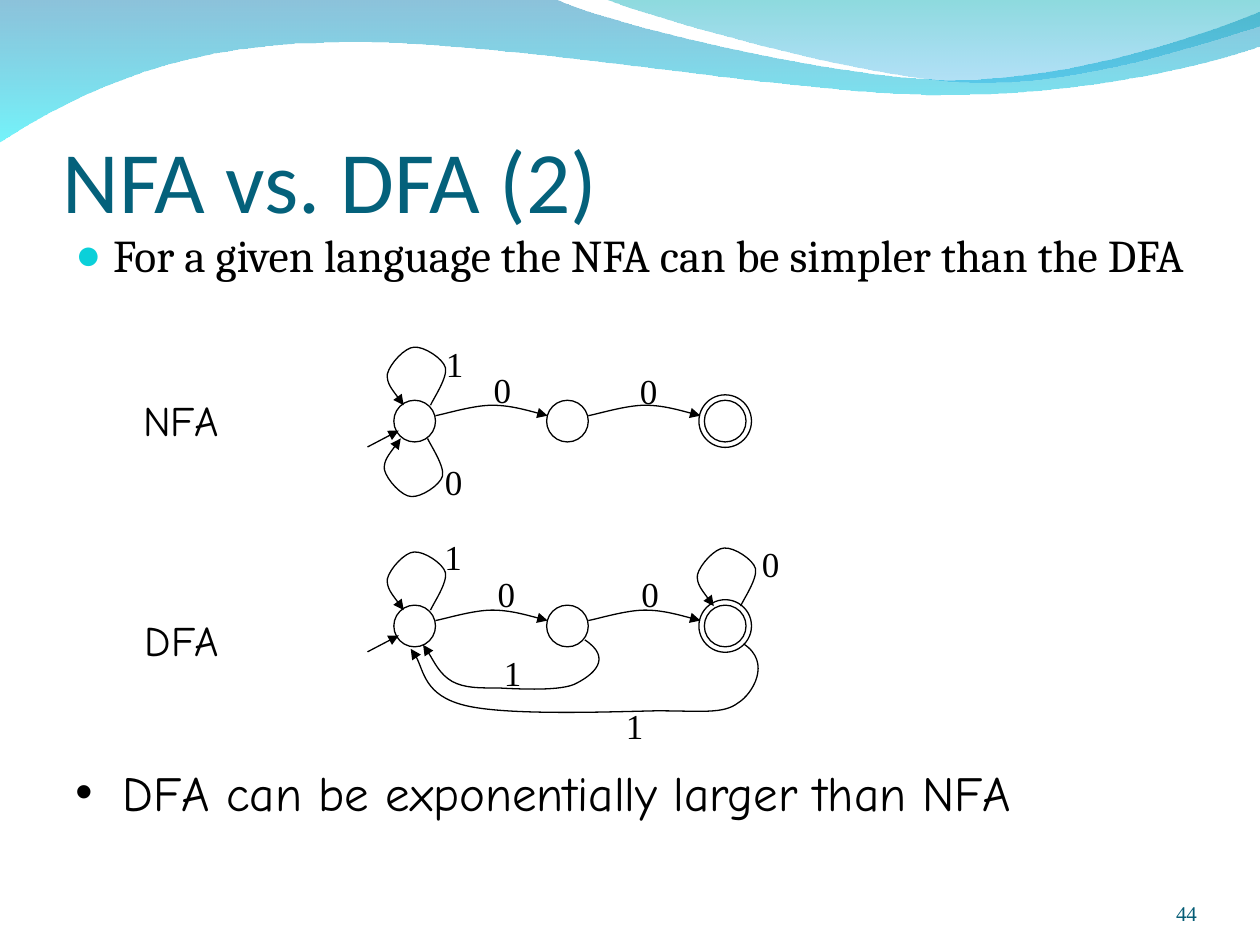
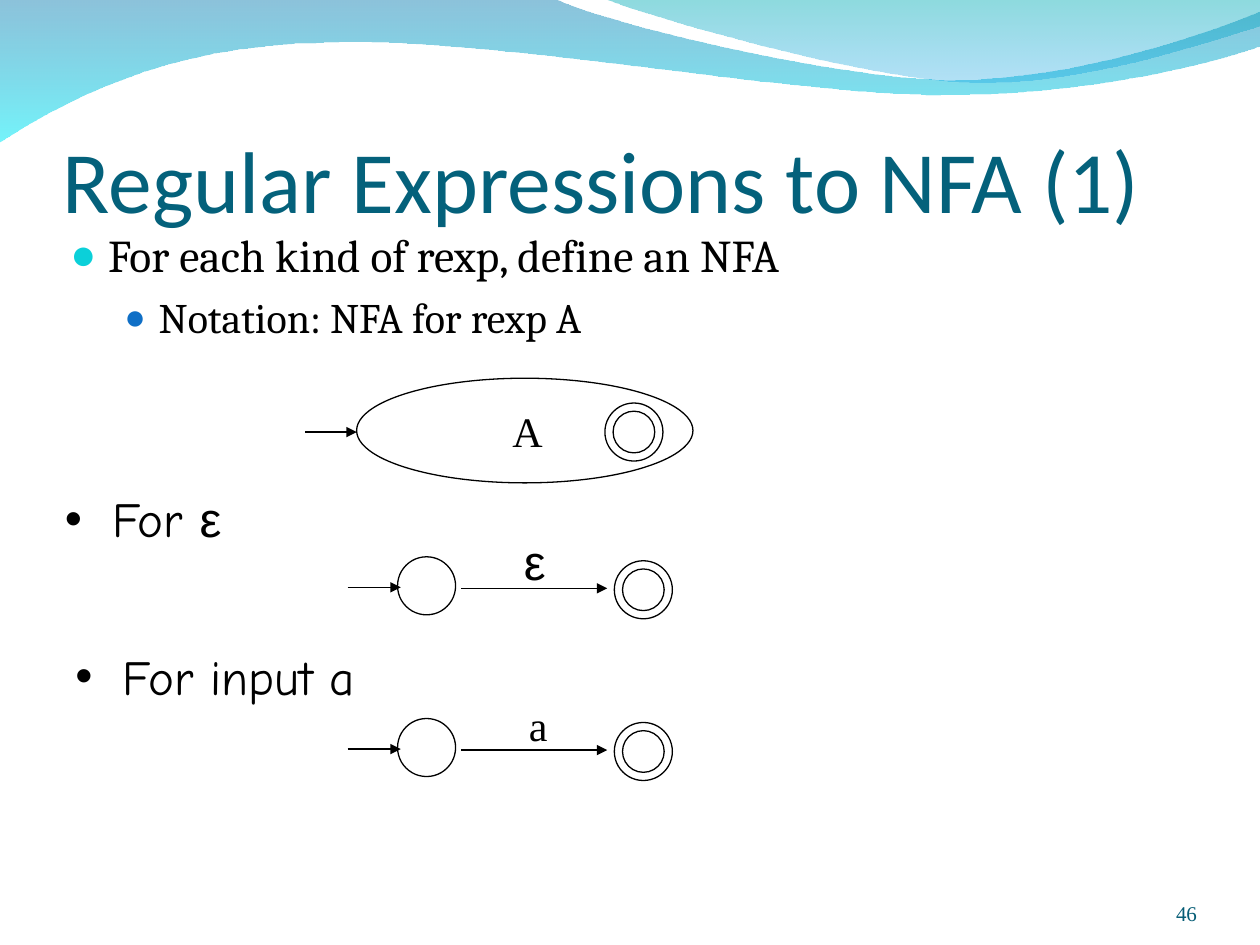
from typing import NamedTuple

from lxml import etree
from pptx import Presentation
from pptx.dml.color import RGBColor
from pptx.enum.shapes import MSO_CONNECTOR, MSO_SHAPE
from pptx.enum.text import MSO_ANCHOR, MSO_AUTO_SIZE, PP_ALIGN
from pptx.oxml.ns import qn
from pptx.util import Cm, Pt

BLACK = RGBColor(0x00, 0x00, 0x00)
TITLE_BLUE = RGBColor(0x04, 0x61, 0x7B)
NUMBER_BLUE = RGBColor(0x04, 0x5C, 0x75)
BULLET_CYAN = RGBColor(0x0B, 0xD0, 0xD9)
BULLET_BLUE = RGBColor(0x0F, 0x6F, 0xC6)
WAVE_BLUE = RGBColor(0x00, 0x79, 0xAF)
WAVE_CYAN = RGBColor(0x00, 0xEB, 0xF8)
WAVE_TEAL = RGBColor(0x00, 0xAD, 0xB6)
WAVE_SKY = RGBColor(0x00, 0x9B, 0xE5)

ELLIPSE = MSO_SHAPE.OVAL
STRAIGHT = MSO_CONNECTOR.STRAIGHT
TOP, BOTTOM = MSO_ANCHOR.TOP, MSO_ANCHOR.BOTTOM
LEFT, RIGHT = PP_ALIGN.LEFT, PP_ALIGN.RIGHT
GROW = MSO_AUTO_SIZE.SHAPE_TO_FIT_TEXT

TITLE_FONT = "Calibri"
BODY_FONT = "Cambria"
NOTE_FONT = "Comic Neue"
LABEL_FONT = "Times New Roman"
GREEK_FONT = "Arial"
BULLET_FONT = "Arial"

STATE_SIZE = 0.84


class BulletStyle(NamedTuple):
    symbol: str
    color: RGBColor
    percent: int
    indent: float
    hanging: float
    font: str
    size: int
    space_before: float


TOPIC = BulletStyle("●", BULLET_CYAN, 95, 0.76, 0.76, BODY_FONT, 26, 6.5)
SUBTOPIC = BulletStyle("●", BULLET_BLUE, 85, 1.78, 0.69, BODY_FONT, 24, 6)
NOTE = BulletStyle("•", BLACK, 100, 0.96, 0.96, NOTE_FONT, 28, 7)

# Outlines start with one point; then one point is a line, three are a Bézier curve.
BACK_WAVE = [
    [(0, -0.03)],
    [(11.18, -0.03)],
    [(12.09, 0.43), (16.87, 1.6), (19.25, 1.6)],
    [(21.67, 1.6), (24.33, 0.66), (25.4, 0.23)],
    [(25.43, 0.91)],
    [(24.97, 1.12), (22.1, 1.93), (18.95, 1.91)],
    [(15.8, 1.91), (9.7, 0.71), (6.53, 0.86)],
    [(3.28, 0.89), (1.17, 2.11), (-0.03, 2.87)],
]
FRONT_WAVE = [
    [(12.17, -0.03)],
    [(12.93, 0.28), (17.32, 1.57), (19.53, 1.65)],
    [(21.74, 1.75), (24.41, 0.81), (25.4, 0.53)],
    [(25.4, 0)],
]
# Relative to the centre of the state where the transition starts.
LOOP = [
    [(0.32, -0.32)],
    [(0.37, -0.44), (0.67, -0.88), (0.62, -1.08)],
    [(0.57, -1.26), (0.19, -1.51), (-0.01, -1.49)],
    [(-0.19, -1.49), (-0.5, -1.16), (-0.55, -0.95)],
    [(-0.57, -0.77), (-0.39, -0.55), (-0.22, -0.32)],
]
FORWARD_ARC = [
    [(0.42, -0.11)],
    [(0.6, -0.14), (1.18, -0.32), (1.56, -0.32)],
    [(1.92, -0.32), (2.45, -0.17), (2.68, -0.11)],
]
RETURN_FROM_MIDDLE = [
    [(11.79, 12.9)],
    [(12.37, 13.28), (11.94, 13.61), (11.63, 13.77)],
    [(11.35, 13.94), (10.46, 13.89), (10.06, 13.87)],
    [(9.63, 13.87), (9.37, 13.87), (9.12, 13.74)],
    [(8.86, 13.59), (8.66, 13.16), (8.53, 13.0)],
]
RETURN_FROM_FINAL = [
    [(14.99, 12.98)],
    [(15.57, 13.36), (15.16, 14.0), (14.88, 14.17)],
    [(14.58, 14.4), (14.15, 14.33), (13.23, 14.33)],
    [(12.29, 14.35), (10.21, 14.43), (9.37, 14.22)],
    [(8.56, 14.02), (8.51, 13.31), (8.28, 13.08)],
]


def moved(segments, x, y, flip=1):
    """Shift a relative outline to (x, y); flip=-1 turns it upside down."""
    return [[(x + dx, y + flip * dy) for dx, dy in segment] for segment in segments]


class Deck:
    """Holds the presentation, its style and the slide being drawn."""

    def __init__(self):
        self.presentation = Presentation()
        self.presentation.slide_width = Cm(25.4)
        self.presentation.slide_height = Cm(19.05)
        self.slide = None

    def new_slide(self, title, number):
        self.slide = self.presentation.slides.add_slide(self.presentation.slide_layouts[6])
        self.wave(BACK_WAVE, ((WAVE_BLUE, 45), (WAVE_CYAN, 55)))
        self.wave(FRONT_WAVE, ((WAVE_TEAL, 45), (WAVE_SKY, 30)))
        self.framed_text(number, (22.02, 17.65, 2.11, 1.02), LABEL_FONT, 12, NUMBER_BLUE, RIGHT)
        self.framed_text(title, (1.27, 1.47, 22.86, 3.18), TITLE_FONT, 50, TITLE_BLUE, LEFT)

    def outline(self, segments, close):
        """Build a freeform, then join each three-point segment into a curve."""
        (x, y), *others = [(Cm(x), Cm(y)) for segment in segments for x, y in segment]
        builder = self.slide.shapes.build_freeform(x, y)
        builder.add_line_segments(others, close=close)
        shape = builder.convert_to_shape()
        shape.shadow.inherit = False
        lines = iter(list(shape._element.iter(qn("a:lnTo"))))
        for segment in segments[1:]:
            first, *rest = [next(lines) for _ in segment]
            if rest:
                first.tag = qn("a:cubicBezTo")
            for line in rest:
                first.append(line[0])
                line.getparent().remove(line)
        return shape

    def wave(self, segments, stops):
        """Draw a band whose stops are (colour, opacity percent), top to bottom."""
        shape = self.outline(segments, close=True)
        shape.line.fill.background()
        shape.fill.gradient()
        shape.fill.gradient_angle = 270
        for gradient_stop, (color, _) in zip(shape.fill.gradient_stops, stops):
            gradient_stop.color.rgb = color
        colors = shape._element.spPr.find(qn("a:gradFill")).iter(qn("a:srgbClr"))
        for element, (_, opacity) in zip(colors, stops):
            etree.SubElement(element, qn("a:alpha"), val=str(opacity * 1000))

    def text_box(self, box, wrap=True, anchor=TOP):
        frame = self.slide.shapes.add_textbox(*(Cm(length) for length in box)).text_frame
        frame.word_wrap = wrap
        frame.vertical_anchor = anchor
        return frame

    def set_font(self, font, name, size, color=BLACK):
        font.name, font.size = name, Pt(size)
        font.color.rgb = color

    def framed_text(self, text, box, font, size, color, alignment):
        """Write text at the bottom of a box that has no margins."""
        frame = self.text_box(box, anchor=BOTTOM)
        frame.margin_left = frame.margin_right = frame.margin_top = frame.margin_bottom = 0
        paragraph = frame.paragraphs[0]
        paragraph.text, paragraph.alignment = text, alignment
        self.set_font(paragraph.font, font, size, color)

    def label(self, text, left, top, width=0.86, font=LABEL_FONT, size=20):
        height = 0.25 + size * 0.0425
        frame = self.text_box((left, top, width, height), wrap=False)
        frame.auto_size = GROW
        paragraph = frame.paragraphs[0]
        paragraph.text = text
        self.set_font(paragraph.font, font, size)

    def bullets(self, left, top, height, *items):
        """Write (style, text) items and return the last paragraph."""
        frame = self.text_box((left, top, 23.06, height))
        for index, (style, text) in enumerate(items):
            paragraph = frame.add_paragraph() if index else frame.paragraphs[0]
            paragraph.text = text
            properties = paragraph._p.get_or_add_pPr()
            properties.set("marL", str(Cm(style.indent)))
            properties.set("indent", str(-Cm(style.hanging)))
            color = etree.SubElement(properties, qn("a:buClr"))
            etree.SubElement(color, qn("a:srgbClr"), val=str(style.color))
            etree.SubElement(properties, qn("a:buSzPct"), val=str(style.percent * 1000))
            etree.SubElement(properties, qn("a:buFont"), typeface=BULLET_FONT)
            etree.SubElement(properties, qn("a:buChar"), char=style.symbol)
            self.set_font(paragraph.font, style.font, style.size)
            if index:
                paragraph.space_before = Pt(style.space_before)
        return paragraph

    def stroke(self, shape, arrow=False):
        shape.line.color.rgb = BLACK
        shape.line.width = Pt(0.75)
        if arrow:
            line = shape._element.spPr.find(qn("a:ln"))
            etree.SubElement(line, qn("a:tailEnd"), type="triangle")

    def ellipse(self, x, y, width, height):
        """Draw an unfilled ellipse centred on (x, y)."""
        box = (x - width / 2, y - height / 2, width, height)
        shape = self.slide.shapes.add_shape(ELLIPSE, *(Cm(length) for length in box))
        shape.shadow.inherit = False
        shape.fill.background()
        self.stroke(shape)

    def state(self, x, y, size=STATE_SIZE):
        self.ellipse(x, y, size, size)

    def final_state(self, x, y, ring):
        self.state(x, y)
        self.state(x, y, ring)

    def arrow(self, *ends):
        """Draw a straight arrow from x1, y1 to x2, y2."""
        connector = self.slide.shapes.add_connector(STRAIGHT, *(Cm(end) for end in ends))
        self.stroke(connector, arrow=True)
        etree.SubElement(connector._element.spPr, qn("a:effectLst"))

    def curved_arrow(self, segments):
        shape = self.outline(segments, close=False)
        shape.fill.background()
        self.stroke(shape, arrow=True)

    def three_state_chain(self, start, middle, final, y):
        """Draw what both automata share: states, start arrow, loop and arcs."""
        self.state(start, y)
        self.state(middle, y)
        self.final_state(final, y, ring=1.06)
        self.arrow(start - 0.95, y + 0.52, start - 0.32, y + 0.19)
        self.curved_arrow(moved(LOOP, start, y))
        for source in (start, middle):
            self.curved_arrow(moved(FORWARD_ARC, source, y))

    def one_step_automaton(self, y):
        self.state(8.6, y, 1.17)
        self.final_state(12.97, y + 0.08, ring=1.17)
        self.arrow(7.01, y + 0.03, 8.08, y + 0.03)
        self.arrow(9.3, y + 0.05, 12.24, y + 0.05)


def comparison_slide(deck):
    deck.new_slide("NFA vs. DFA (2)", "44")
    deck.bullets(1.27, 4.45, 2.54,
                 (TOPIC, "For a given language the NFA can be simpler than the DFA"))
    start, middle, final = 8.36, 11.44, 14.62
    nfa_y, dfa_y = 8.49, 12.62
    for y in (nfa_y, dfa_y):
        deck.three_state_chain(start, middle, final, y)
    deck.curved_arrow(moved(LOOP, start - 0.06, nfa_y + 0.03, flip=-1))
    deck.curved_arrow(moved(LOOP, final - 0.01, dfa_y - 0.08))
    deck.curved_arrow(RETURN_FROM_MIDDLE)
    deck.curved_arrow(RETURN_FROM_FINAL)

    nfa_labels = [("0", 9.7, 7.3), ("1", 8.74, 6.78), ("0", 12.65, 7.32), ("0", 8.72, 9.16)]
    dfa_labels = [("0", 9.78, 11.41), ("1", 8.71, 10.67), ("0", 12.68, 11.41),
                  ("1", 9.91, 13.0), ("0", 15.11, 10.82), ("1", 12.37, 14.07)]
    for text, left, top in nfa_labels + dfa_labels:
        deck.label(text, left, top)
    for name, left, top in (("NFA", 2.64, 7.82), ("DFA", 2.67, 12.27)):
        deck.label(name, left, top, 2.03, NOTE_FONT, 24)
    deck.bullets(1.27, 15.24, 1.7, (NOTE, "DFA can be exponentially larger than NFA"))


def construction_slide(deck):
    deck.new_slide("Regular Expressions to NFA (1)", "46")
    deck.bullets(1.17, 4.45, 2.74,
                 (TOPIC, "For each kind of rexp, define an NFA"),
                 (SUBTOPIC, "Notation: NFA for rexp A"))
    deck.ellipse(10.58, 8.68, 6.78, 2.11)
    deck.label("A", 10.08, 8.05, 1.12, size=24)
    deck.arrow(6.15, 8.71, 7.19, 8.71)
    deck.final_state(12.78, 8.71, ring=1.17)

    epsilon = deck.bullets(1.06, 9.73, 1.7, (NOTE, "For ")).add_run()
    epsilon.text, epsilon.font.name = "ε", GREEK_FONT
    deck.one_step_automaton(11.81)
    deck.label("ε", 10.31, 10.59, 0.94, GREEK_FONT, 28)

    deck.bullets(1.27, 12.9, 1.7, (NOTE, "For input a"))
    deck.one_step_automaton(15.07)
    deck.label("a", 10.41, 13.97, 0.89, size=24)


def main():
    deck = Deck()
    comparison_slide(deck)
    construction_slide(deck)
    deck.presentation.save("out.pptx")


if __name__ == "__main__":
    main()
